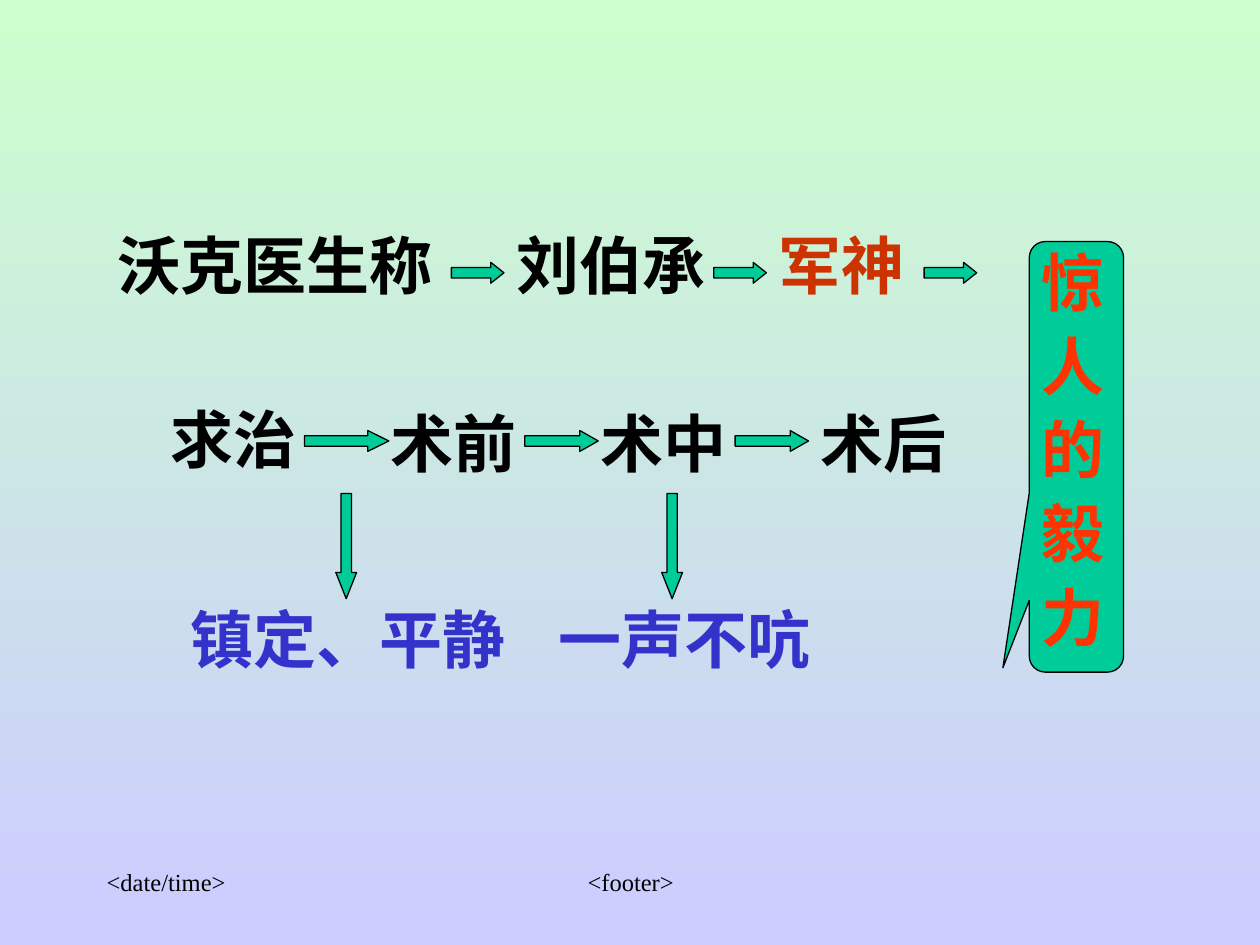
from pptx import Presentation
from pptx.dml.color import RGBColor
from pptx.enum.shapes import MSO_SHAPE as Shape
from pptx.enum.text import MSO_AUTO_SIZE as AutoSize, PP_ALIGN as Align
from pptx.oxml.ns import qn
from pptx.util import Cm, Pt

BLACK = RGBColor(0x00, 0x00, 0x00)
RUST = RGBColor(0xCC, 0x33, 0x00)
RED = RGBColor(0xFF, 0x33, 0x00)
BLUE = RGBColor(0x33, 0x33, 0xCC)
TEAL = RGBColor(0x00, 0xCC, 0x99)
MINT = RGBColor(0xCC, 0xFF, 0xCC)
LAVENDER = RGBColor(0xCC, 0xCC, 0xFF)
HEADING_FONT = "Noto Sans CJK SC"
FOOTER_FONT = "Times New Roman"
LABEL_HEIGHT = 1.78
ARROW_THICKNESS = 0.42


def add_label(shapes, text, left, top, width, height=LABEL_HEIGHT, color=BLACK,
              size=36, font_name=HEADING_FONT, bold=True, align=Align.LEFT):
    label = shapes.add_textbox(Cm(left), Cm(top), Cm(width), Cm(height))
    frame = label.text_frame
    frame.word_wrap = True
    frame.auto_size = AutoSize.SHAPE_TO_FIT_TEXT if bold else AutoSize.NONE
    paragraph = frame.paragraphs[0]
    paragraph.alignment = align
    run = paragraph.add_run()
    run.text = text
    run.font.size = Pt(size)
    run.font.bold = bold
    run.font.color.rgb = color
    run.font.name = font_name
    east_asian = run.font._element.makeelement(qn("a:ea"), {"typeface": font_name})
    run.font._element.append(east_asian)


def add_teal_shape(shapes, kind, left, top, width, height, adjustments):
    teal = shapes.add_shape(kind, Cm(left), Cm(top), Cm(width), Cm(height))
    teal.shadow.inherit = False
    teal.fill.solid()
    teal.fill.fore_color.rgb = TEAL
    teal.line.color.rgb = BLACK
    teal.line.width = Pt(0.75)
    for index, value in enumerate(adjustments):
        teal.adjustments[index] = value


prs = Presentation()
prs.slide_width, prs.slide_height = Cm(25.4), Cm(19.05)
slide = prs.slides.add_slide(prs.slide_layouts[6])

background = slide.background.fill
background.gradient()
background.gradient_angle = 270
for stop, color in zip(background.gradient_stops, (MINT, LAVENDER)):
    stop.color.rgb = color

# Footer line
for text, left, width, align in (
    ("<footer>", 8.69, 8.05, Align.CENTER),
    ("<date/time>", 1.9, 5.28, Align.LEFT),
):
    add_label(slide.shapes, text, left, 17.35, width, 1.27, size=14,
              font_name=FOOTER_FONT, bold=False, align=align)

# Praise, stages of the operation, and behaviour at each stage
for text, left, top, width, color in (
    ("沃克医生称", 2.12, 4.45, 7.62, BLACK),
    ("刘伯承", 10.16, 4.45, 4.65, BLACK),
    ("军神", 15.45, 4.45, 3.39, RUST),
    ("求治", 3.18, 7.95, 3.39, BLACK),
    ("术前", 7.62, 8.04, 3.39, BLACK),
    ("术中", 11.85, 8.04, 3.39, BLACK),
    ("术后", 16.3, 8.04, 3.39, BLACK),
    ("镇定、平静", 3.6, 11.99, 7.2, BLUE),
    ("一声不吭", 11.01, 11.99, 6.35, BLUE),
):
    add_label(slide.shapes, text, left, top, width, color=color)

# Arrowheads are a quarter of the arrow length
for left, top, length in (
    (6.14, 8.68, 1.7), (10.58, 8.68, 1.48), (14.82, 8.68, 1.48),
    (9.1, 5.29, 1.06), (14.39, 5.29, 1.06), (18.63, 5.29, 1.06),
):
    add_teal_shape(slide.shapes, Shape.RIGHT_ARROW, left, top, length,
                   ARROW_THICKNESS, (0.5, length / 4 / ARROW_THICKNESS))

down_length = 2.12
for left in (6.77, 13.34):
    add_teal_shape(slide.shapes, Shape.DOWN_ARROW, left, 9.95, ARROW_THICKNESS,
                   down_length, (0.5, down_length / 4 / ARROW_THICKNESS))

# Vertical conclusion
conclusion = slide.shapes.add_group_shape().shapes
add_teal_shape(conclusion, Shape.ROUNDED_RECTANGULAR_CALLOUT, 20.75, 4.87, 1.9, 8.68,
               (-0.78, 0.49, 0.17))
for row, character in enumerate("惊人的毅力"):
    add_label(conclusion, character, 20.75, 4.78 + row * 1.69, 2.33, color=RED)

prs.save("out.pptx")
